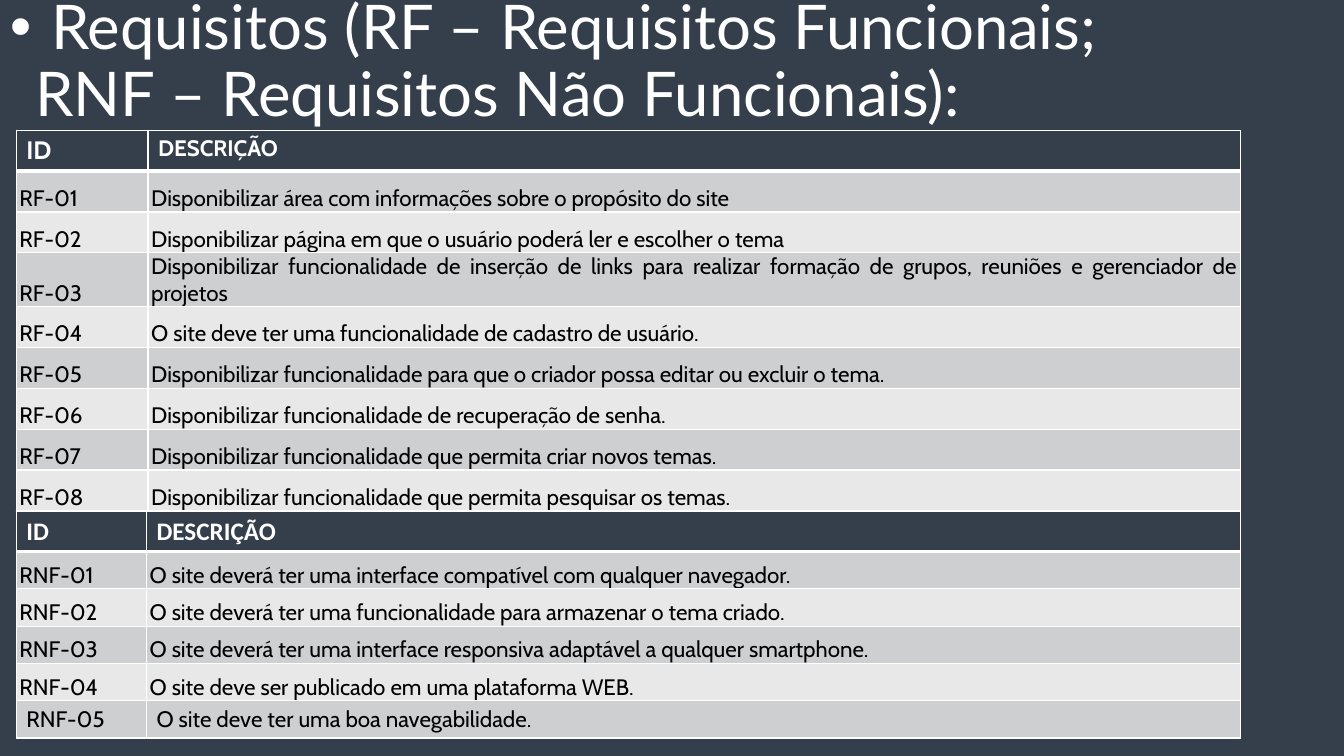
"""Build the slide listing functional and non-functional requirements."""
from lxml.etree import SubElement
from pptx import Presentation
from pptx.dml.color import RGBColor
from pptx.enum.text import MSO_ANCHOR, PP_ALIGN
from pptx.oxml import parse_xml
from pptx.oxml.ns import nsdecls, qn
from pptx.util import Cm, Pt

TITLE = " Requisitos (RF – Requisitos Funcionais; RNF – Requisitos Não Funcionais):"
HEADER = ("ID", "DESCRIÇÃO")
FUNCTIONAL = [
    "Disponibilizar área com informações sobre o propósito do site",
    "Disponibilizar página em que o usuário poderá ler e escolher o tema",
    "Disponibilizar funcionalidade de inserção de links para realizar formação "
    "de grupos, reuniões e gerenciador de projetos",
    "O site deve ter uma funcionalidade de cadastro de usuário.",
    "Disponibilizar funcionalidade para que o criador possa editar ou excluir o tema.",
    "Disponibilizar funcionalidade de recuperação de senha.",
    "Disponibilizar funcionalidade que permita criar novos temas.",
    "Disponibilizar funcionalidade que permita pesquisar os temas.",
]
NON_FUNCTIONAL = [
    "O site deverá ter uma interface compatível com qualquer navegador.",
    "O site deverá ter uma funcionalidade para armazenar o tema criado.",
    "O site deverá ter uma interface responsiva adaptável a qualquer smartphone.",
    "O site deve ser publicado em uma plataforma WEB.",
    "O site deve ter uma boa navegabilidade.",
]
TABLES = [
    dict(prefix="RF", items=FUNCTIONAL, top=3.28, row=1.03, id_width=3.32,
         head_font="Cabin", head_sizes=(18, 16), align=PP_ALIGN.JUSTIFY, loose=()),
    dict(prefix="RNF", items=NON_FUNCTIONAL, top=12.88, row=0.94, id_width=3.28,
         head_font="Calibri", head_sizes=(18, 18), align=PP_ALIGN.LEFT, loose=(5,)),
]
LEFT, WIDTH = 0.41, 30.86
THEME = dict(dark="343F4B", white="FFFFFF", black="000000", bands=("E8E8E9", "CECFD0"),
             title_font="Lato", body_font="Cabin", title=44, body=16, line=1, rule=3)


def style(p, font, size, color, bold=False):
    p.font.name, p.font.size, p.font.bold = font, Pt(size), bold
    p.font.color.rgb = RGBColor.from_string(color)


def set_borders(cell, row):
    widths = dict(L=THEME["line"], R=THEME["line"],
                  T=THEME["rule" if row == 1 else "line"],
                  B=THEME["rule" if row == 0 else "line"])
    tc_pr = cell._tc.get_or_add_tcPr()
    for i, (side, width) in enumerate(widths.items()):
        tc_pr.insert(i, parse_xml(
            f'<a:ln{side} {nsdecls("a")} w="{Pt(width)}"><a:solidFill>'
            f'<a:srgbClr val="{THEME["white"]}"/></a:solidFill></a:ln{side}>'))


def add_title(s):
    tf = s.shapes.add_textbox(Cm(0), Cm(-0.25), Cm(29.21), Cm(3.68)).text_frame
    tf.word_wrap, tf.vertical_anchor = True, MSO_ANCHOR.MIDDLE
    p = tf.paragraphs[0]
    p.text, p.line_spacing = TITLE, 0.9
    p_pr = p._p.get_or_add_pPr()
    p_pr.set("marL", str(Cm(0.64)))
    p_pr.set("indent", str(Cm(-0.64)))
    SubElement(p_pr, qn("a:buFont"), typeface="Arial")
    SubElement(p_pr, qn("a:buChar"), char="•")
    style(p, THEME["title_font"], THEME["title"], THEME["white"])


def add_requirements(s, spec_table):
    t = spec_table
    rows = [HEADER] + [(f"{t['prefix']}-{n:02}", text) for n, text in enumerate(t["items"], 1)]
    table = s.shapes.add_table(len(rows), 2, Cm(LEFT), Cm(t["top"]), Cm(WIDTH),
                               Cm(t["row"] * len(rows))).table
    table.first_row = table.horz_banding = False
    table.columns[0].width = Cm(t["id_width"])
    table.columns[1].width = Cm(WIDTH - t["id_width"])
    for r, texts in enumerate(rows):
        table.rows[r].height = Cm(t["row"])
        for c, text in enumerate(texts):
            cell = table.cell(r, c)
            p = cell.text_frame.paragraphs[0]
            p.text = text
            if r == 0:
                style(p, t["head_font"], t["head_sizes"][c], THEME["white"], True)
            else:
                style(p, THEME["body_font"], THEME["body"], THEME["black"])
                if r not in t["loose"]:
                    p.alignment = t["align"]
                    cell.vertical_anchor = MSO_ANCHOR.BOTTOM
                    cell.margin_left = cell.margin_right = Cm(0.08)
                    cell.margin_top = cell.margin_bottom = 0
            cell.fill.solid()
            fill = THEME["bands"][r % 2] if r else THEME["dark"]
            cell.fill.fore_color.rgb = RGBColor.from_string(fill)
            set_borders(cell, r)


def main():
    prs = Presentation()
    prs.slide_width, prs.slide_height = Cm(33.87), Cm(19.05)
    s = prs.slides.add_slide(prs.slide_layouts[6])
    s.background.fill.solid()
    s.background.fill.fore_color.rgb = RGBColor.from_string(THEME["dark"])
    add_title(s)
    for t in TABLES:
        add_requirements(s, t)
    prs.save("out.pptx")


if __name__ == "__main__":
    main()
